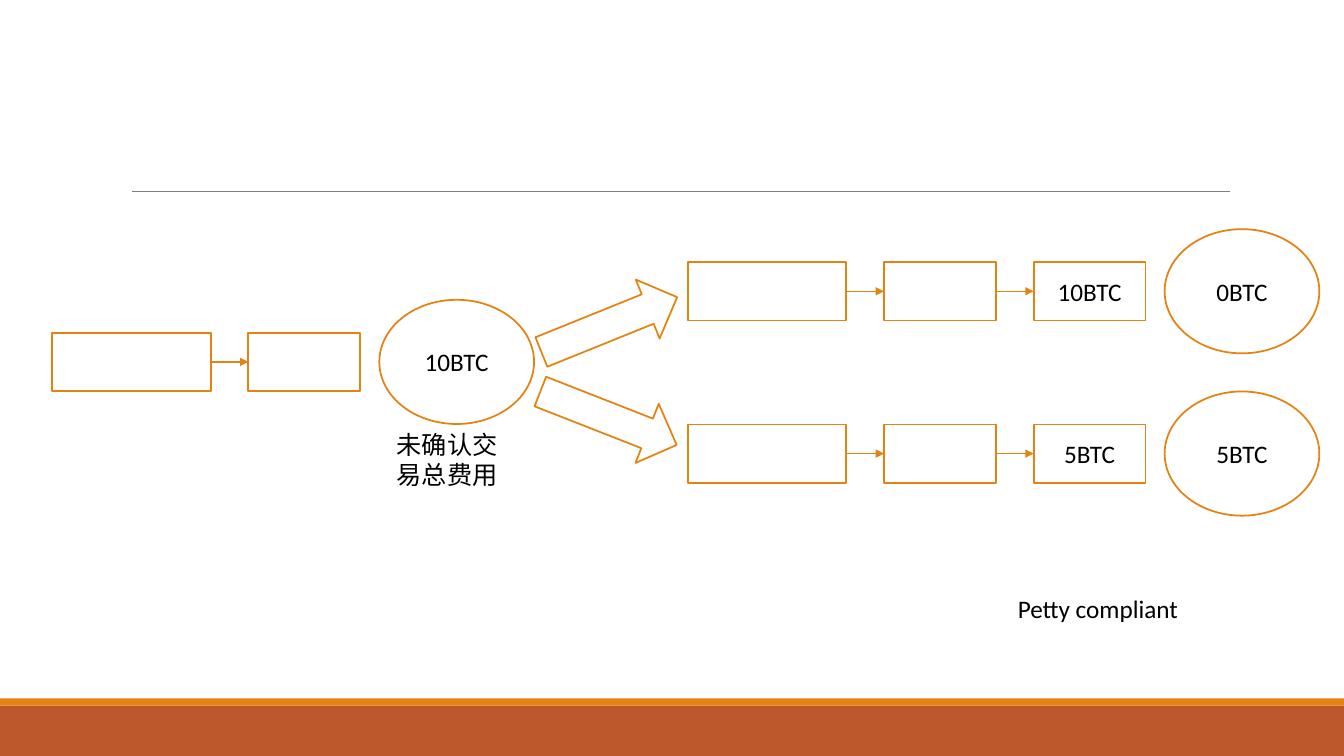
from lxml.etree import SubElement
from pptx import Presentation
from pptx.dml.color import RGBColor
from pptx.enum.shapes import MSO_CONNECTOR, MSO_SHAPE
from pptx.enum.text import MSO_ANCHOR, MSO_AUTO_SIZE, PP_ALIGN
from pptx.oxml.ns import qn
from pptx.util import Cm, Pt

WHITE = RGBColor(0xFF, 0xFF, 0xFF)
BLACK = RGBColor(0x00, 0x00, 0x00)
GRAY = RGBColor(0x80, 0x80, 0x80)
ORANGE = RGBColor(0xE4, 0x83, 0x12)
RUST = RGBColor(0xBD, 0x58, 0x2C)

SLIDE_W, SLIDE_H = 33.87, 19.05
WIDE, NARROW, BOX_H = 3.99, 2.82, 1.47
LINK = 0.95
POOL_W, POOL_H, POOL_GAP = 3.9, 3.13, 0.48


class Sketch:
    """Draws in one style on one slide; all lengths are in centimetres."""

    font = "Calibri"
    size = Pt(18)

    def __init__(self, slide):
        self.shapes = slide.shapes

    def fill_text(self, frame, text, align):
        frame.word_wrap = True
        frame.text = text
        paragraph = frame.paragraphs[0]
        paragraph.alignment = align
        for run in paragraph.runs:
            run.font.name = self.font
            run.font.size = self.size
            run.font.color.rgb = BLACK

    def band(self, top, height, color):
        band = self.shapes.add_shape(
            MSO_SHAPE.RECTANGLE, 0, Cm(top), Cm(SLIDE_W), Cm(height))
        band.shadow.inherit = False
        band.fill.solid()
        band.fill.fore_color.rgb = color
        band.line.fill.background()

    def outline(self, kind, left, top, width, height, text="", rotation=0):
        shape = self.shapes.add_shape(
            kind, Cm(left), Cm(top), Cm(width), Cm(height))
        shape.shadow.inherit = False
        shape.rotation = rotation
        shape.fill.solid()
        shape.fill.fore_color.rgb = WHITE
        shape.line.color.rgb = ORANGE
        shape.line.width = Pt(1.25)
        if text:
            shape.text_frame.vertical_anchor = MSO_ANCHOR.MIDDLE
            self.fill_text(shape.text_frame, text, PP_ALIGN.CENTER)

    def line(self, start, end, y, color, width, arrow=False):
        connector = self.shapes.add_connector(
            MSO_CONNECTOR.STRAIGHT, Cm(start), Cm(y), Cm(end), Cm(y))
        connector.line.color.rgb = color
        connector.line.width = Pt(width)
        properties = connector.element.spPr
        if arrow:
            SubElement(properties.find(qn("a:ln")), qn("a:tailEnd"), type="triangle")
        SubElement(properties, qn("a:effectLst"))

    def label(self, left, top, width, height, text):
        box = self.shapes.add_textbox(Cm(left), Cm(top), Cm(width), Cm(height))
        self.fill_text(box.text_frame, text, PP_ALIGN.LEFT)
        box.text_frame.auto_size = MSO_AUTO_SIZE.SHAPE_TO_FIT_TEXT

    def chain(self, left, middle, blocks, pool):
        """Linked blocks in a row, followed by the pool of pending fees."""
        for index, (width, text) in enumerate(blocks):
            if index:
                self.line(left, left + LINK, middle, ORANGE, 1, arrow=True)
                left += LINK
            self.outline(MSO_SHAPE.RECTANGLE, left, middle - BOX_H / 2,
                         width, BOX_H, text)
            left += width
        self.outline(MSO_SHAPE.OVAL, left + POOL_GAP, middle - POOL_H / 2,
                     POOL_W, POOL_H, pool)


def main():
    deck = Presentation()
    deck.slide_width, deck.slide_height = Cm(SLIDE_W), Cm(SLIDE_H)
    sketch = Sketch(deck.slides.add_slide(deck.slide_layouts[6]))

    # Footer bands and title rule
    sketch.band(17.78, 1.27, RUST)
    sketch.band(17.6, 0.18, ORANGE)
    sketch.line(3.33, 31.0, 4.82, GRAY, 0.5)

    # Starting chain
    history = [(WIDE, ""), (NARROW, "")]
    sketch.chain(1.32, 9.12, history, "10BTC")

    # Two possible continuations
    for left, top, turn in ((13.51, 7.38, 338), (13.49, 9.74, 21.4)):
        sketch.outline(MSO_SHAPE.RIGHT_ARROW, left, top, 3.69, 1.6, rotation=turn)
    for middle, claimed, remaining in ((7.34, "10BTC", "0BTC"),
                                       (11.43, "5BTC", "5BTC")):
        sketch.chain(17.34, middle, history + [(NARROW, claimed)], remaining)

    # Captions
    sketch.label(9.75, 10.69, 3.58, 1.8, "未确认交易总费用")
    sketch.label(25.4, 14.83, 4.78, 1.03, "Petty compliant")

    deck.save("out.pptx")


if __name__ == "__main__":
    main()
